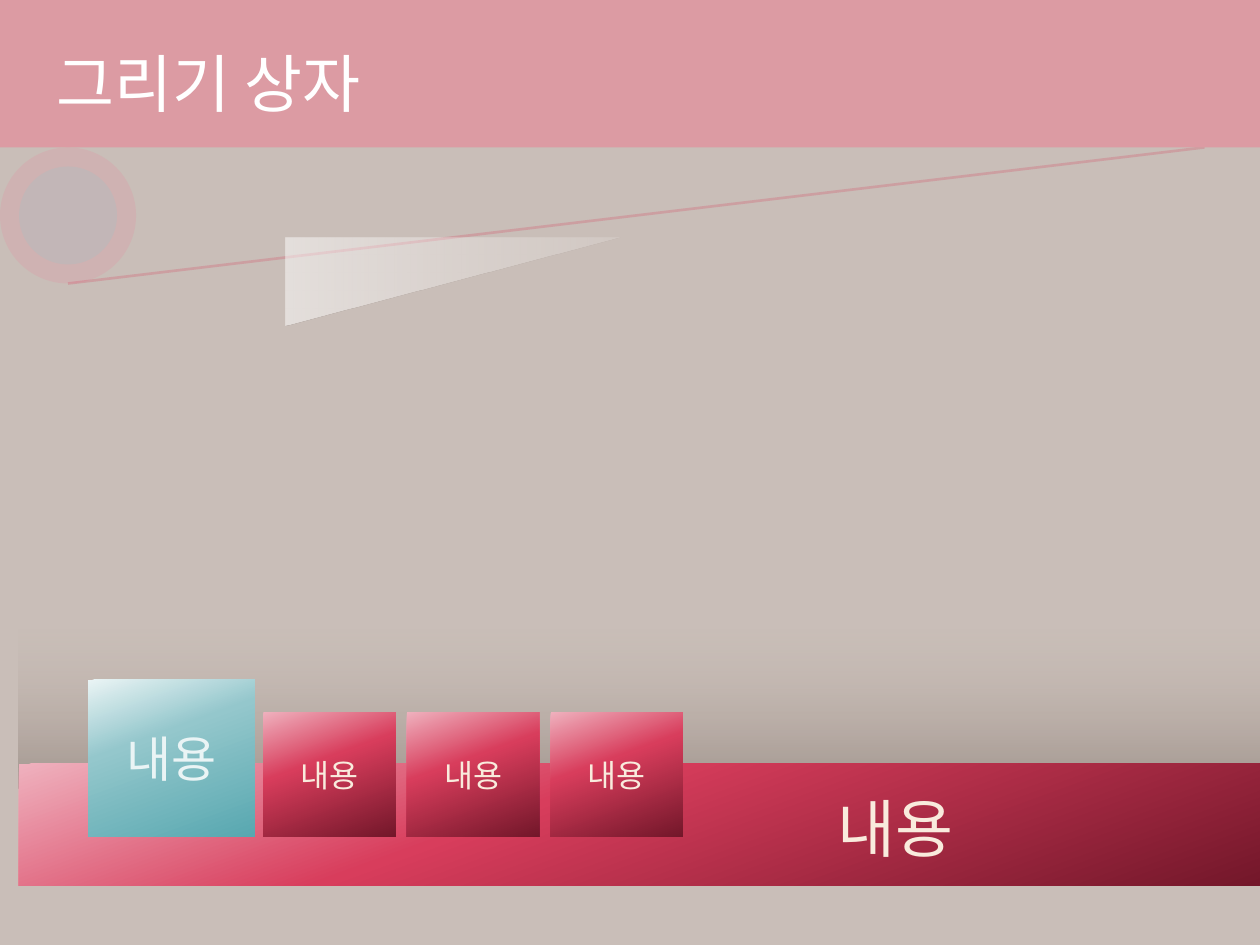
from lxml import etree
from pptx import Presentation
from pptx.dml.color import RGBColor
from pptx.enum import shapes, text
from pptx.oxml import ns, parse_xml
from pptx.util import Inches, Pt

W, H = 10, 7.5
SHAPE = shapes.MSO_SHAPE
ROSE = [(0, "EFB1BE", 100), (40, "D83D5C", 100), (100, "73172A", 100)]
TEAL = [(0, "EAF4F5", 100), (37, "94C7CC", 100), (100, "58A8B0", 100)]
SHADE = [(23, "B7A99F", 0), (100, "63544A", 39)]
GLOW = [(0, "FFFFFF", 15), (50, "FFFFFF", 30), (100, "FFFFFF", 50)]


def color(hex_code):
    """Turn a hex string into a colour."""
    return RGBColor.from_string(hex_code)


def fade(fill, opacity):
    """Set the opacity, in percent, of a solid fill."""
    clr = fill._xPr.find(".//" + ns.qn("a:srgbClr"))
    etree.SubElement(clr, ns.qn("a:alpha")).set("val", str(opacity * 1000))


def gradient(sp, stops, angle):
    """Fill a shape with (position, colour, opacity) stops at a clockwise angle."""
    gs = "".join(
        f'<a:gs pos="{pos * 1000}"><a:srgbClr val="{c}">'
        f'<a:alpha val="{a * 1000}"/></a:srgbClr></a:gs>' for pos, c, a in stops)
    xml = (f'<a:gradFill {ns.nsdecls("a")} rotWithShape="1"><a:gsLst>{gs}</a:gsLst>'
           f'<a:lin ang="{angle * 60000}" scaled="0"/></a:gradFill>')
    sp._element.spPr.find(ns.qn("a:prstGeom")).addnext(parse_xml(xml))


def add_plain(s, kind, box, fill=None, opacity=100):
    """Add a shape without outline or shadow, solid if a fill is given."""
    sp = s.shapes.add_shape(kind, *map(Inches, box))
    sp.shadow.inherit = False
    sp.line.fill.background()
    if fill:
        sp.fill.solid()
        sp.fill.fore_color.rgb = color(fill)
        fade(sp.fill, opacity)
    return sp


def write(sp, words, size, font, fill, align=None):
    """Put one line of vertically centred text in a shape."""
    tf = sp.text_frame
    tf.word_wrap = True
    tf.vertical_anchor = text.MSO_ANCHOR.MIDDLE
    tf.text = words
    p = tf.paragraphs[0]
    p.alignment = align
    r = p.runs[0]
    r.font.size, r.font.name = Pt(size), font
    r.font.color.rgb = color(fill)


def add_ornament(s, box):
    """Draw the ring at the left and the thread rising to the right."""
    x, y, w, h = box
    add_plain(s, SHAPE.OVAL, (x, y, h, h), "E88B9D", 22)
    inset = 0.14 * h
    add_plain(s, SHAPE.OVAL, (x + inset, y + inset, h - 2 * inset, h - 2 * inset),
              "94C7CC", 22)
    ends = (x + h / 2, y + h, x + w, y)
    thread = s.shapes.add_connector(shapes.MSO_CONNECTOR.STRAIGHT, *map(Inches, ends))
    thread.line.width = Pt(1.5)
    thread.line.color.rgb = color("D83D5C")
    fade(thread.line.fill, 23)
    etree.SubElement(thread._element.spPr, ns.qn("a:effectLst"))


def add_header(s, box, title):
    """Draw the title band."""
    x, y, w, h = box
    add_plain(s, SHAPE.RECTANGLE, box, "DC9BA3")
    tb = s.shapes.add_textbox(*map(Inches, (x + 0.035 * w, y + 0.12 * h,
                                            0.927 * w, 0.88 * h)))
    write(tb, title, 36, "Arial", "FFFFFF")


def add_tile(s, box, label, stops, size, fill):
    """Draw a gradient tile with a centred label."""
    sp = add_plain(s, SHAPE.RECTANGLE, box)
    gradient(sp, stops, 70)
    write(sp, label, size, "Lato", fill, text.PP_ALIGN.CENTER)


def add_menu(s, box, labels, caption):
    """Draw the shaded bar with its small tiles, large tile and caption."""
    x, y, w, h = box
    shade = add_plain(s, SHAPE.RECTANGLE, (x, y, w, 0.68 * h))
    gradient(shade, SHADE, 90)
    bar_h = 0.4 * h
    bar_y = y + h - bar_h
    bar = add_plain(s, SHAPE.RECTANGLE, (x, bar_y, w, bar_h))
    gradient(bar, ROSE, 70)

    base = bar_y + 0.6 * bar_h
    tile_w, tile_h, pitch = 1.05, 0.99, 1.14
    for i, label in enumerate(labels[1:]):
        left = x + 1.94 + i * pitch
        add_tile(s, (left, base - tile_h, tile_w, tile_h), label, ROSE, 18, "F9EBDD")
    big_w, big_h = 1.26 * tile_w, 1.26 * tile_h
    add_tile(s, (x + 0.55, base - big_h, big_w, big_h), labels[0], TEAL, 28, "EAF4F5")

    tb = s.shapes.add_textbox(*map(Inches, (x + 0.66 * w, bar_y + 0.21 * bar_h,
                                            0.22 * w, 0.63 * bar_h)))
    tf = tb.text_frame
    tf.margin_left = tf.margin_right = tf.margin_top = tf.margin_bottom = 0
    write(tb, caption, 36, "Lato", "F9EBDD")


def add_glow(s, box):
    """Draw the pale wedge, turned a quarter to lie within the box."""
    x, y, w, h = box
    upright = (x + (w - h) / 2, y + (h - w) / 2, h, w)
    sp = add_plain(s, SHAPE.RIGHT_TRIANGLE, upright)
    gradient(sp, GLOW, 90)
    sp.rotation = 90


def main():
    """Build the slide and save it."""
    prs = Presentation()
    prs.slide_width, prs.slide_height = Inches(W), Inches(H)
    s = prs.slides.add_slide(prs.slide_layouts[6])
    s.background.fill.solid()
    s.background.fill.fore_color.rgb = color("C9BEB8")
    band = 0.156 * H
    add_ornament(s, (0, band, 0.956 * W, 0.144 * H))
    add_header(s, (0, 0, W, band), "그리기 상자")
    add_menu(s, (0.015 * W, 0.615 * H, 0.985 * W, 0.322 * H), ["내용"] * 4, "내용")
    add_glow(s, (0.227 * W, 0.252 * H, 0.265 * W, 0.092 * H))
    prs.save("out.pptx")


if __name__ == "__main__":
    main()
